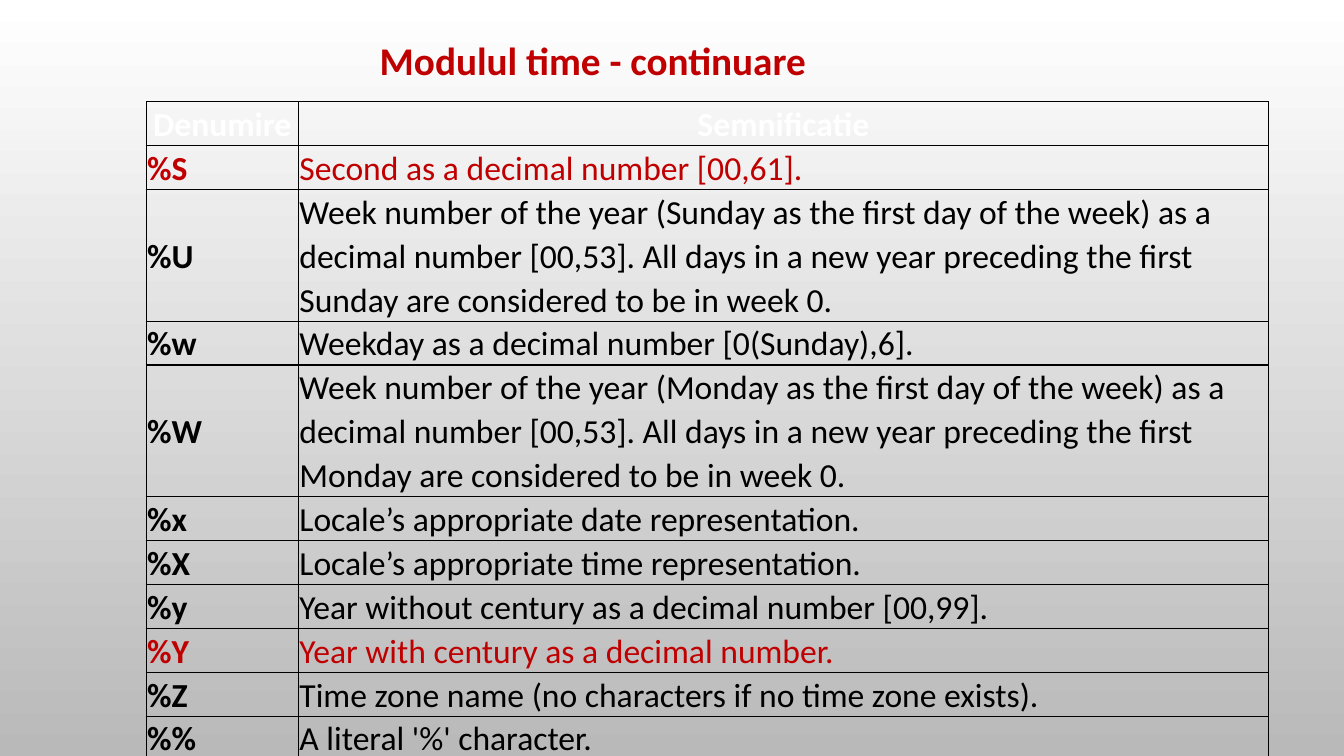
from lxml import etree
from pptx import Presentation
from pptx import util as u
from pptx.dml.color import RGBColor
from pptx.enum import text
from pptx.oxml.ns import qn

# Content: code, meaning, number of text lines
TITLE = "Modulul time - continuare"
HEADER = ("Denumire", "Semnificatie", 1)
DIRECTIVES = [
    ("%S", "Second as a decimal number [00,61].", 1),
    ("%U", "Week number of the year (Sunday as the first day of the week) as a "
           "decimal number [00,53]. All days in a new year preceding the first "
           "Sunday are considered to be in week 0.", 3),
    ("%w", "Weekday as a decimal number [0(Sunday),6].", 1),
    ("%W", "Week number of the year (Monday as the first day of the week) as a "
           "decimal number [00,53]. All days in a new year preceding the first "
           "Monday are considered to be in week 0.", 3),
    ("%x", "Locale’s appropriate date representation.", 1),
    ("%X", "Locale’s appropriate time representation.", 1),
    ("%y", "Year without century as a decimal number [00,99].", 1),
    ("%Y", "Year with century as a decimal number.", 1),
    ("%Z", "Time zone name (no characters if no time zone exists).", 1),
    ("%%", "A literal '%' character.", 1),
]
HIGHLIGHTED = {"%S", "%Y"}

WHITE = RGBColor(0xFF, 0xFF, 0xFF)
GREY = RGBColor(0xB9, 0xB9, 0xB9)
BLACK = RGBColor(0, 0, 0)
RED = RGBColor(0xC0, 0, 0)
FONT = "Calibri"

# Layout in inches
WIDTH, HEIGHT = 13.33, 7.5
TABLE_LEFT, TABLE_TOP = 1.45, 1.01
COLUMNS = (1.51, 9.62)
LINE_HEIGHT = 0.43


def style_span(span, size, color, bold):
    span.font.name = FONT
    span.font.size = u.Pt(size)
    span.font.color.rgb = color
    span.font.bold = bold


def add_borders(cell):
    properties = cell._tc.get_or_add_tcPr()
    for side in ("lnL", "lnR", "lnT", "lnB"):
        line = etree.SubElement(properties, qn(f"a:{side}"), w=str(u.Pt(1)))
        fill = etree.SubElement(line, qn("a:solidFill"))
        etree.SubElement(fill, qn("a:srgbClr"), val=str(BLACK))


def fill_cell(cell, words, color, bold, align):
    add_borders(cell)
    cell.fill.background()
    cell.margin_left = cell.margin_right = u.Inches(0.01)
    cell.margin_top = cell.margin_bottom = 0
    cell.vertical_anchor = text.MSO_ANCHOR.MIDDLE
    para = cell.text_frame.paragraphs[0]
    para.text = words
    para.alignment = align
    para.line_spacing = 1.07
    para.space_after = u.Pt(7.5)
    style_span(para.runs[0], 24, color, bold)


deck = Presentation()
deck.slide_width, deck.slide_height = u.Inches(WIDTH), u.Inches(HEIGHT)
page = deck.slides.add_slide(deck.slide_layouts[6])

# Background, white at the top to grey at the bottom
backdrop = page.background.fill
backdrop.gradient()
backdrop.gradient_angle = 270
for stop, color in zip(backdrop.gradient_stops, (WHITE, GREY)):
    stop.color.rgb = color

# Table of directives
rows = [HEADER] + DIRECTIVES
table_height = LINE_HEIGHT * sum(lines for _, _, lines in rows)
table = page.shapes.add_table(
    len(rows), len(COLUMNS), u.Inches(TABLE_LEFT), u.Inches(TABLE_TOP),
    u.Inches(sum(COLUMNS)), u.Inches(table_height)).table
table.horz_banding = False
for column, width in zip(table.columns, COLUMNS):
    column.width = u.Inches(width)
for index, (code, meaning, lines) in enumerate(rows):
    table.rows[index].height = u.Inches(LINE_HEIGHT * lines)
    is_header = index == 0
    color = WHITE if is_header else RED if code in HIGHLIGHTED else BLACK
    align = text.PP_ALIGN.CENTER if is_header else text.PP_ALIGN.LEFT
    fill_cell(table.cell(index, 0), code, color, True, align)
    fill_cell(table.cell(index, 1), meaning, color, is_header, align)

# Title, set in by one inch
box = page.shapes.add_textbox(u.Inches(WIDTH * 0.2), u.Inches(0.31),
                              u.Inches(WIDTH * 0.5), u.Inches(1.04))
frame = box.text_frame
frame.word_wrap = True
frame.margin_left = u.Inches(1.1)
frame.text = TITLE
style_span(frame.paragraphs[0].runs[0], 28, RED, True)

deck.save("out.pptx")
